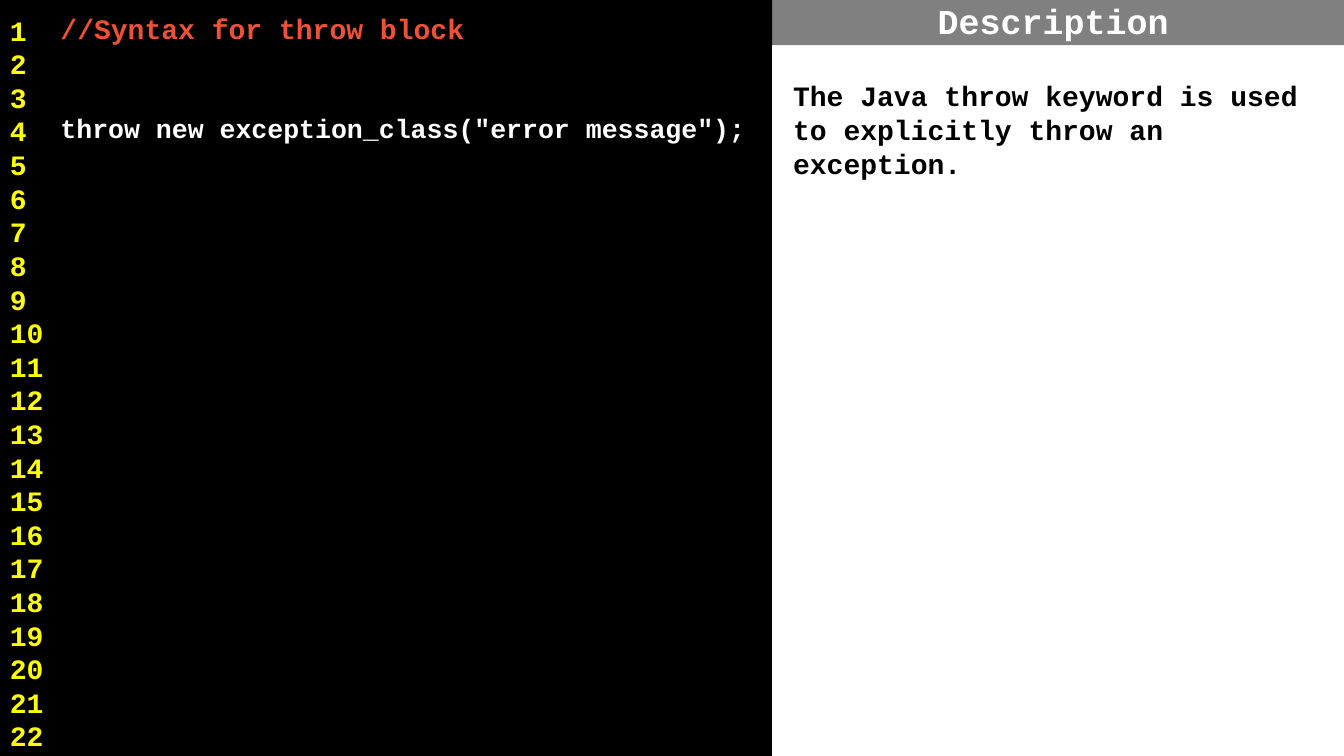
from dataclasses import dataclass

from lxml.etree import SubElement
from pptx import Presentation
from pptx.dml.color import RGBColor
from pptx.enum.shapes import MSO_SHAPE
from pptx.enum.text import MSO_ANCHOR, PP_ALIGN
from pptx.oxml.ns import qn
from pptx.util import Pt


@dataclass(frozen=True)
class Theme:
    """Hold the colours, font and type sizes of the slide."""

    font: str = "Courier New"
    black: str = "000000"
    white: str = "FFFFFF"
    gray: str = "808080"
    yellow: str = "FFFF00"
    orange: str = "F05136"
    heading_size: float = 25
    body_size: float = 20
    code_size: float = 19


THEME = Theme()
SLIDE_WIDTH, SLIDE_HEIGHT = 960, 540
CODE_WIDTH = 551.6
HEADING_HEIGHT = 32.4
GUTTER_WIDTH = 41.8
STRIP_HEIGHT = 5.8
LINE_COUNT = 22


def fill_shape(shape, color, opacity=100):
    """Give a shape a solid fill and no outline."""
    shape.fill.solid()
    shape.fill.fore_color.rgb = RGBColor.from_string(color)
    shape.line.fill.background()
    if opacity < 100:
        color_element = shape.fill._xPr.find(qn("a:solidFill"))[0]
        SubElement(color_element, qn("a:alpha"), val=str(opacity * 1000))


def add_panel(slide, box, color, opacity=100):
    """Add a flat rectangle that fills the given box."""
    shape = slide.shapes.add_shape(MSO_SHAPE.RECTANGLE, *map(Pt, box))
    shape.shadow.inherit = False
    fill_shape(shape, color, opacity)
    return shape


def set_frame(shape, margins, anchor=MSO_ANCHOR.TOP):
    """Set the left, top, right and bottom margins and the anchor of a shape."""
    frame = shape.text_frame
    frame.word_wrap = True
    frame.vertical_anchor = anchor
    frame.margin_left, frame.margin_top, frame.margin_right, frame.margin_bottom = map(Pt, margins)


def write_text(paragraph, text, *, color, size=THEME.body_size, align=PP_ALIGN.LEFT, before=0):
    """Write bold text into a paragraph."""
    paragraph.alignment = align
    paragraph.space_before = Pt(before)
    run = paragraph.add_run()
    run.text = text
    run.font.name = THEME.font
    run.font.size = Pt(size)
    run.font.bold = True
    run.font.color.rgb = RGBColor.from_string(color)


def add_code(slide, box):
    """Add the dark panel with the code sample."""
    panel = add_panel(slide, box, THEME.black)
    set_frame(panel, (43.2, 7.9, 7.2, 72))
    frame = panel.text_frame
    write_text(frame.paragraphs[0], "//Syntax for throw block", color=THEME.orange)
    write_text(frame.add_paragraph(), 'throw new exception_class("error message");',
               color=THEME.white, size=THEME.code_size, before=48)


def add_line_numbers(slide, box):
    """Add the gutter with its top strip and line numbers."""
    left, top, width, height = box
    add_panel(slide, (left, top, width, STRIP_HEIGHT), THEME.black, opacity=68)
    gutter = add_panel(slide, (left, top + STRIP_HEIGHT, width, height - STRIP_HEIGHT),
                       THEME.black, opacity=68)
    set_frame(gutter, (7.2, 3.6, 0, 0))
    frame = gutter.text_frame
    for number in range(1, LINE_COUNT + 1):
        paragraph = frame.paragraphs[0] if number == 1 else frame.add_paragraph()
        write_text(paragraph, str(number), color=THEME.yellow)


def add_description(slide, box):
    """Add the heading bar and the explanation below it."""
    left, top, width, height = box
    title = slide.shapes.title
    title.left, title.top, title.width, title.height = map(Pt, (left, top, width, HEADING_HEIGHT))
    fill_shape(title, THEME.gray)
    set_frame(title, (0, 3.6, 7.2, 7.2), MSO_ANCHOR.MIDDLE)
    write_text(title.text_frame.paragraphs[0], "Description", color=THEME.white,
               size=THEME.heading_size, align=PP_ALIGN.CENTER)
    panel = add_panel(slide, (left, top + HEADING_HEIGHT, width, height - HEADING_HEIGHT),
                      THEME.white)
    set_frame(panel, (14.9, 24, 0, 0))
    write_text(panel.text_frame.paragraphs[0],
               "The Java throw keyword is used to explicitly throw an exception.",
               color=THEME.black)


def main():
    """Build and save the presentation."""
    presentation = Presentation()
    presentation.slide_width, presentation.slide_height = Pt(SLIDE_WIDTH), Pt(SLIDE_HEIGHT)
    slide = presentation.slides.add_slide(presentation.slide_layouts[5])
    add_code(slide, (0, 0, CODE_WIDTH, SLIDE_HEIGHT))
    add_line_numbers(slide, (0, 0, GUTTER_WIDTH, SLIDE_HEIGHT))
    add_description(slide, (CODE_WIDTH, 0, SLIDE_WIDTH - CODE_WIDTH, SLIDE_HEIGHT))
    presentation.save("out.pptx")


if __name__ == "__main__":
    main()
